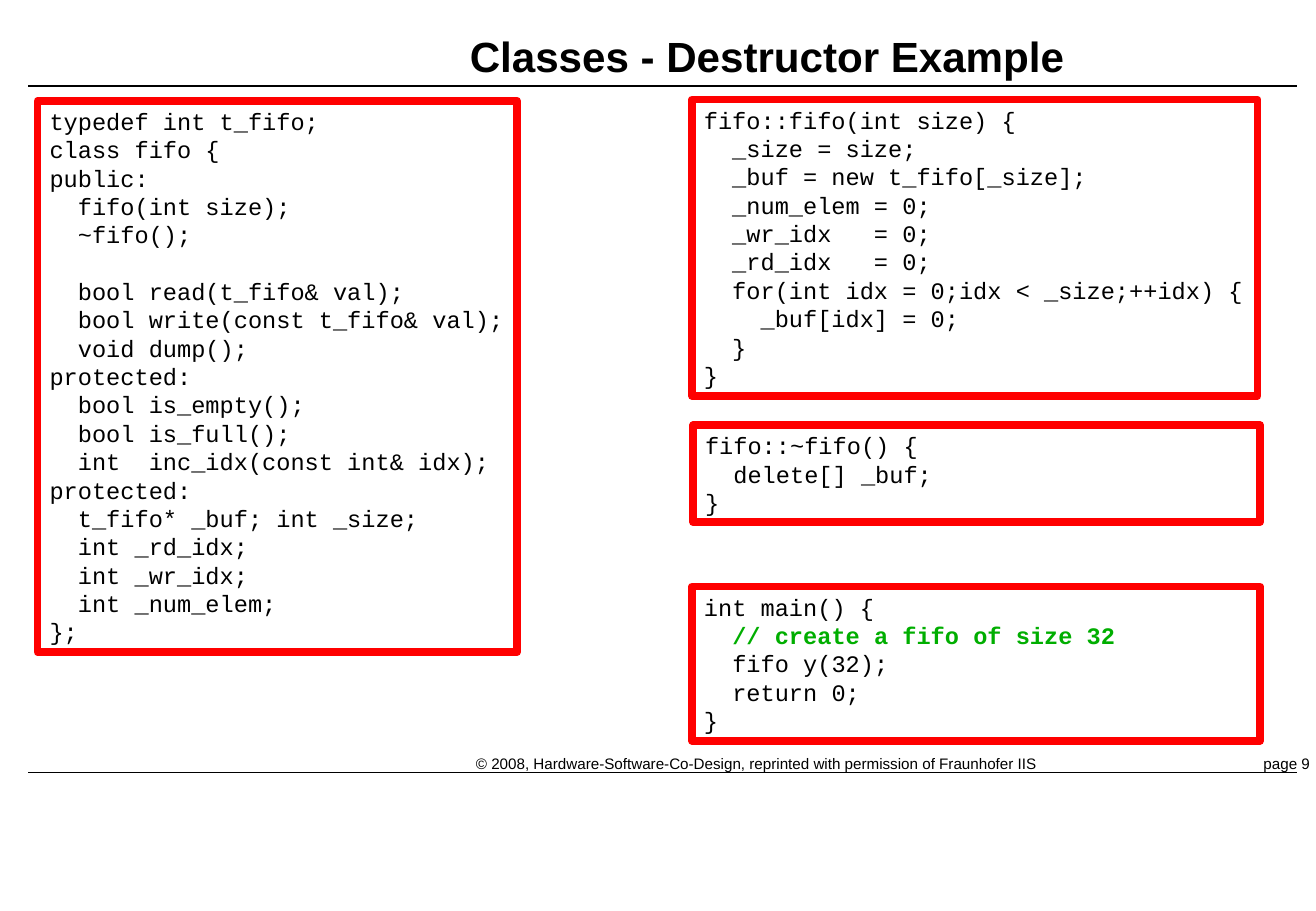
from lxml.etree import SubElement
from pptx import Presentation
from pptx.dml.color import RGBColor
from pptx.enum.shapes import MSO_CONNECTOR, MSO_SHAPE
from pptx.enum.text import MSO_ANCHOR, PP_ALIGN
from pptx.oxml.ns import qn
from pptx.util import Inches, Pt

# Content
TITLE = "Classes - Destructor Example"
COPYRIGHT = ("© 2008, Hardware-Software-Co-Design, "
             "reprinted with permission of Fraunhofer IIS")
PAGE = "page 9"

CLASS_CODE = """typedef int t_fifo;
class fifo {
public:
  fifo(int size);
  ~fifo();

  bool read(t_fifo& val);
  bool write(const t_fifo& val);
  void dump();
protected:
  bool is_empty();
  bool is_full();
  int  inc_idx(const int& idx);
protected:
  t_fifo* _buf; int _size;
  int _rd_idx;
  int _wr_idx;
  int _num_elem;
};"""

CONSTRUCTOR_CODE = """fifo::fifo(int size) {
  _size = size;
  _buf = new t_fifo[_size];
  _num_elem = 0;
  _wr_idx   = 0;
  _rd_idx   = 0;
  for(int idx = 0;idx < _size;++idx) {
    _buf[idx] = 0;
  }
}"""

MAIN_CODE = """int main() {
  // create a fifo of size 32
  fifo y(32);
  return 0;
}"""

DESTRUCTOR_CODE = """fifo::~fifo() {
  delete[] _buf;
}"""

# Code boxes: text, (left, top, width, height), wrap
CODE_BOXES = [
    (CLASS_CODE, (0.31, 0.83, 3.95, 4.54), False),
    (CONSTRUCTOR_CODE, (5.7, 0.82, 4.66, 2.44), True),
    (MAIN_CODE, (5.7, 4.83, 4.68, 1.27), True),
    (DESTRUCTOR_CODE, (5.71, 3.5, 4.67, 0.8), True),
]
# Footer texts: text, (left, top, width, height), alignment, anchor
FOOTERS = [
    (PAGE, (9.91, 6.21, 0.88, 0.15), PP_ALIGN.RIGHT, MSO_ANCHOR.TOP),
    (COPYRIGHT, (3.92, 6.21, 4.62, 0.15), PP_ALIGN.LEFT, MSO_ANCHOR.BOTTOM),
]
RULE_X = (10.68, 0.23)
RULE_YS = (0.71, 6.36)

BLACK = RGBColor(0, 0, 0)
THEME = {
    "paper": RGBColor(0xFF, 0xFF, 0xFF),
    "frame": RGBColor(0xFF, 0, 0),
    "rule": BLACK,
    "frame_width": Pt(4.5),
    "rule_width": Pt(1),
    "title_line": Pt(32.9),
    "code_line": Pt(16.8),
    "title": {"name": "Arial", "size": Pt(25), "bold": True, "color": BLACK},
    "footer": {"name": "Arial", "size": Pt(9), "bold": False, "color": BLACK},
    "code": {"name": "Courier New", "size": Pt(14), "bold": False,
             "color": BLACK},
    "comment": {"name": "Courier New", "size": Pt(14), "bold": True,
                "color": RGBColor(0, 0xAE, 0)},
}


def set_font(font, style):
    for key, value in THEME[style].items():
        if key == "color":
            font.color.rgb = value
        else:
            setattr(font, key, value)


def set_frame(tf, anchor=MSO_ANCHOR.TOP, wrap=True, inset=(0, 0)):
    dx, dy = (Inches(v) for v in inset)
    values = {"margin_left": dx, "margin_right": dx, "margin_top": dy,
              "margin_bottom": dy, "vertical_anchor": anchor,
              "word_wrap": wrap}
    for key, value in values.items():
        setattr(tf, key, value)


def add_run(p, text, style):
    r = p.add_run()
    r.text = text
    set_font(r.font, style)


def add_rule(slide, y):
    x1, x2 = RULE_X
    line = slide.shapes.add_connector(
        MSO_CONNECTOR.STRAIGHT, Inches(x1), Inches(y), Inches(x2), Inches(y))
    line.line.color.rgb = THEME["rule"]
    line.line.width = THEME["rule_width"]
    SubElement(line._element.spPr, qn("a:effectLst"))


def add_footer(slide, text, box, align, anchor):
    sp = slide.shapes.add_textbox(*map(Inches, box))
    set_frame(sp.text_frame, anchor, wrap=False)
    p = sp.text_frame.paragraphs[0]
    p.alignment = align
    add_run(p, text, "footer")


def add_code(slide, code, box, wrap):
    sp = slide.shapes.add_shape(MSO_SHAPE.RECTANGLE, *map(Inches, box))
    sp.shadow.inherit = False
    sp.fill.solid()
    sp.fill.fore_color.rgb = THEME["paper"]
    sp.line.color.rgb = THEME["frame"]
    sp.line.width = THEME["frame_width"]
    tf = sp.text_frame
    set_frame(tf, wrap=wrap, inset=(0.1, 0.05))
    p, gap = tf.paragraphs[0], False
    for i, text in enumerate(code.split("\n")):
        # An empty code line becomes space before the next line
        if not text:
            gap = True
            continue
        if i:
            p = tf.add_paragraph()
        p.alignment = PP_ALIGN.LEFT
        p.line_spacing = THEME["code_line"]
        if gap:
            p.space_before, gap = THEME["code_line"], False
        is_comment = text.lstrip().startswith("//")
        add_run(p, text, "comment" if is_comment else "code")


def main():
    prs = Presentation()
    prs.slide_width, prs.slide_height = Inches(10.84), Inches(7.5)
    slide = prs.slides.add_slide(prs.slide_layouts[5])

    # Rules and footer
    for y in RULE_YS:
        add_rule(slide, y)
    for footer in FOOTERS:
        add_footer(slide, *footer)

    # Title
    title = slide.shapes.title
    box = zip(("left", "top", "width", "height"), (3.87, 0.21, 6.81, 0.5))
    for key, value in box:
        setattr(title, key, Inches(value))
    set_frame(title.text_frame)
    p = title.text_frame.paragraphs[0]
    p.alignment = PP_ALIGN.LEFT
    p.line_spacing = THEME["title_line"]
    add_run(p, TITLE, "title")

    # Code boxes
    for code_box in CODE_BOXES:
        add_code(slide, *code_box)

    prs.save("out.pptx")


if __name__ == "__main__":
    main()
